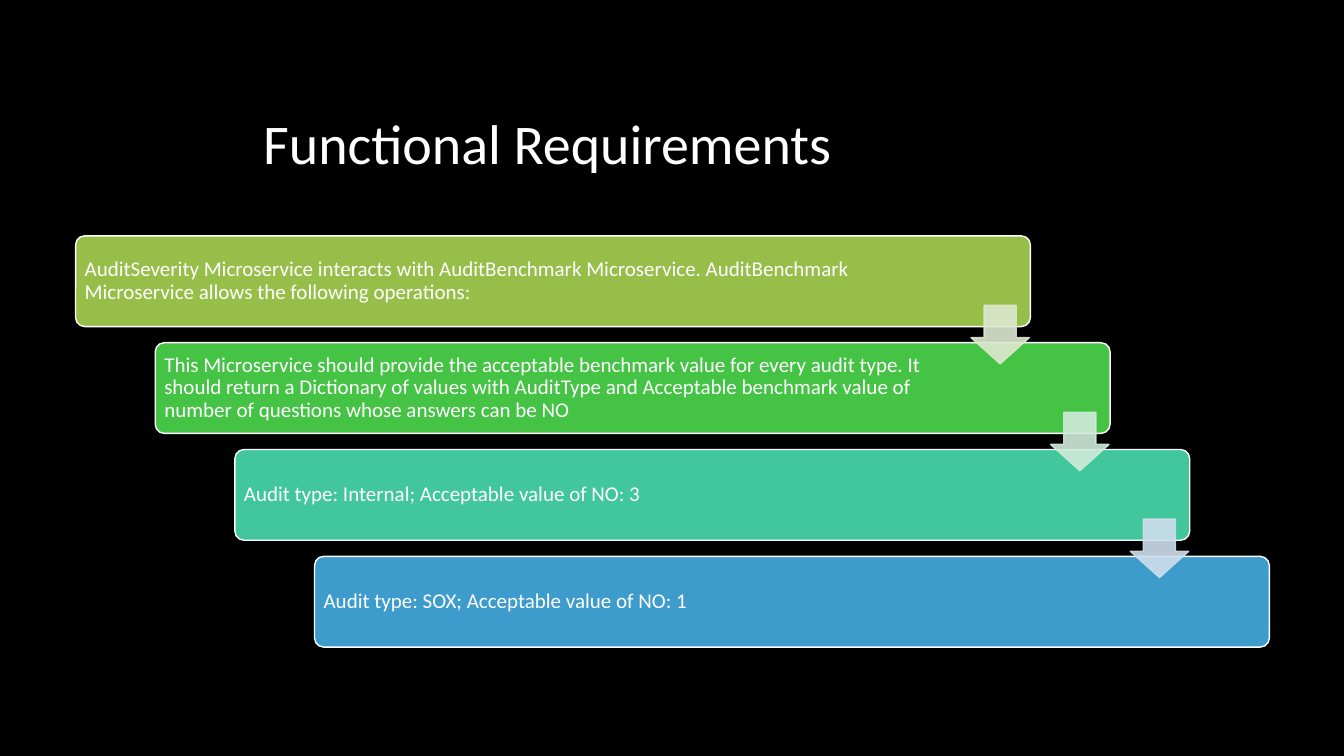
from dataclasses import dataclass

from lxml import etree
from pptx import Presentation
from pptx.dml.color import RGBColor
from pptx.enum.shapes import MSO_SHAPE as Shape
from pptx.enum.text import MSO_ANCHOR as Anchor, PP_ALIGN as Align
from pptx.oxml.ns import qn
from pptx.util import Inches, Pt

# Content: text, text width in inches, bar colour, colour of the arrow below
TITLE = "Functional Requirements"
STEPS = [
    ("AuditSeverity Microservice interacts with AuditBenchmark Microservice. "
     "AuditBenchmark Microservice allows the following operations:",
     8.42, "97BE49", "DDE8D0"),
    ("This Microservice should provide the acceptable benchmark value for every "
     "audit type. It should return a Dictionary of values with AuditType and "
     "Acceptable benchmark value of number of questions whose answers can be NO",
     8.04, "45C345", "CFEADB"),
    ("Audit type: Internal; Acceptable value of NO: 3", 8.04, "41C79B", "CEDEEC"),
    ("Audit type: SOX; Acceptable value of NO: 1", 8.04, "3D9CCC", None),
]


@dataclass(frozen=True)
class Theme:
    font: str = "Calibri"
    background: str = "000000"
    text: str = "FFFFFF"
    title_size: int = 40
    body_size: int = 15
    line_width: int = 1
    arrow_alpha: int = 90


THEME = Theme()

# Staircase geometry, in inches
BAR_LEFT, BAR_TOP = 0.75, 2.34
BAR_WIDTH, BAR_HEIGHT = 9.47, 0.9
STEP_X, STEP_Y = 0.79, 1.06
TEXT_GAP, TEXT_INSET = 0.03, 0.06
ARROW_SIZE, ARROW_FROM_RIGHT, ARROW_DROP = 0.58, 0.59, 0.69


def rgb(value):
    return RGBColor.from_string(value)


def box(*lengths):
    return [Inches(n) for n in lengths]


def write(tf, text, size):
    tf.word_wrap = True
    tf.vertical_anchor = Anchor.MIDDLE
    p = tf.paragraphs[0]
    p.text = text
    p.alignment = Align.LEFT
    p.line_spacing = 0.9
    p.font.size = Pt(size)
    p.font.name = THEME.font
    p.font.color.rgb = rgb(THEME.text)


def add_shape(shapes, kind, place, adjustments, fill, line):
    sp = shapes.add_shape(kind, *place)
    sp.shadow.inherit = False
    for i, value in enumerate(adjustments):
        sp.adjustments[i] = value
    sp.fill.solid()
    sp.fill.fore_color.rgb = rgb(fill)
    sp.line.color.rgb = rgb(line)
    sp.line.width = Pt(THEME.line_width)
    return sp


def set_alpha(sp, percent):
    for color in sp.fill._xPr.iter(qn("a:srgbClr")):
        etree.SubElement(color, qn("a:alpha"), val=str(percent * 1000))


def add_bar(shapes, x, y, text, text_width, fill):
    add_shape(shapes, Shape.ROUNDED_RECTANGLE, box(x, y, BAR_WIDTH, BAR_HEIGHT),
              [0.1], fill, THEME.text)
    tb = shapes.add_textbox(*box(x + TEXT_GAP, y + TEXT_GAP, text_width,
                                 BAR_HEIGHT - 2 * TEXT_GAP))
    tf = tb.text_frame
    tf.margin_left = tf.margin_right = Inches(TEXT_INSET)
    tf.margin_top = tf.margin_bottom = Inches(TEXT_INSET)
    write(tf, text, THEME.body_size)


def add_arrow(shapes, x, y, color):
    place = box(x + BAR_WIDTH - ARROW_FROM_RIGHT, y + ARROW_DROP,
                ARROW_SIZE, ARROW_SIZE)
    sp = add_shape(shapes, Shape.DOWN_ARROW, place, [0.55, 0.45], color, color)
    set_alpha(sp, THEME.arrow_alpha)


def main():
    prs = Presentation()
    prs.slide_width, prs.slide_height = box(13.33, 7.5)
    s = prs.slides.add_slide(prs.slide_layouts[5])
    s.background.fill.solid()
    s.background.fill.fore_color.rgb = rgb(THEME.background)

    # Title, indented inside its placeholder
    title = s.shapes.title
    title.left, title.top, title.width, title.height = box(1.25, 1.08, 10.83, 0.75)
    title.text_frame.margin_left = Inches(1.36)
    write(title.text_frame, TITLE, THEME.title_size)

    # Staircase: bars first, arrows on top
    stairs = s.shapes.add_group_shape().shapes
    corners = [(BAR_LEFT + i * STEP_X, BAR_TOP + i * STEP_Y)
               for i in range(len(STEPS))]
    for (x, y), (text, text_width, fill, _) in zip(corners, STEPS):
        add_bar(stairs, x, y, text, text_width, fill)
    for (x, y), (*_, arrow_color) in zip(corners, STEPS):
        if arrow_color:
            add_arrow(stairs, x, y, arrow_color)

    prs.save("out.pptx")


if __name__ == "__main__":
    main()
